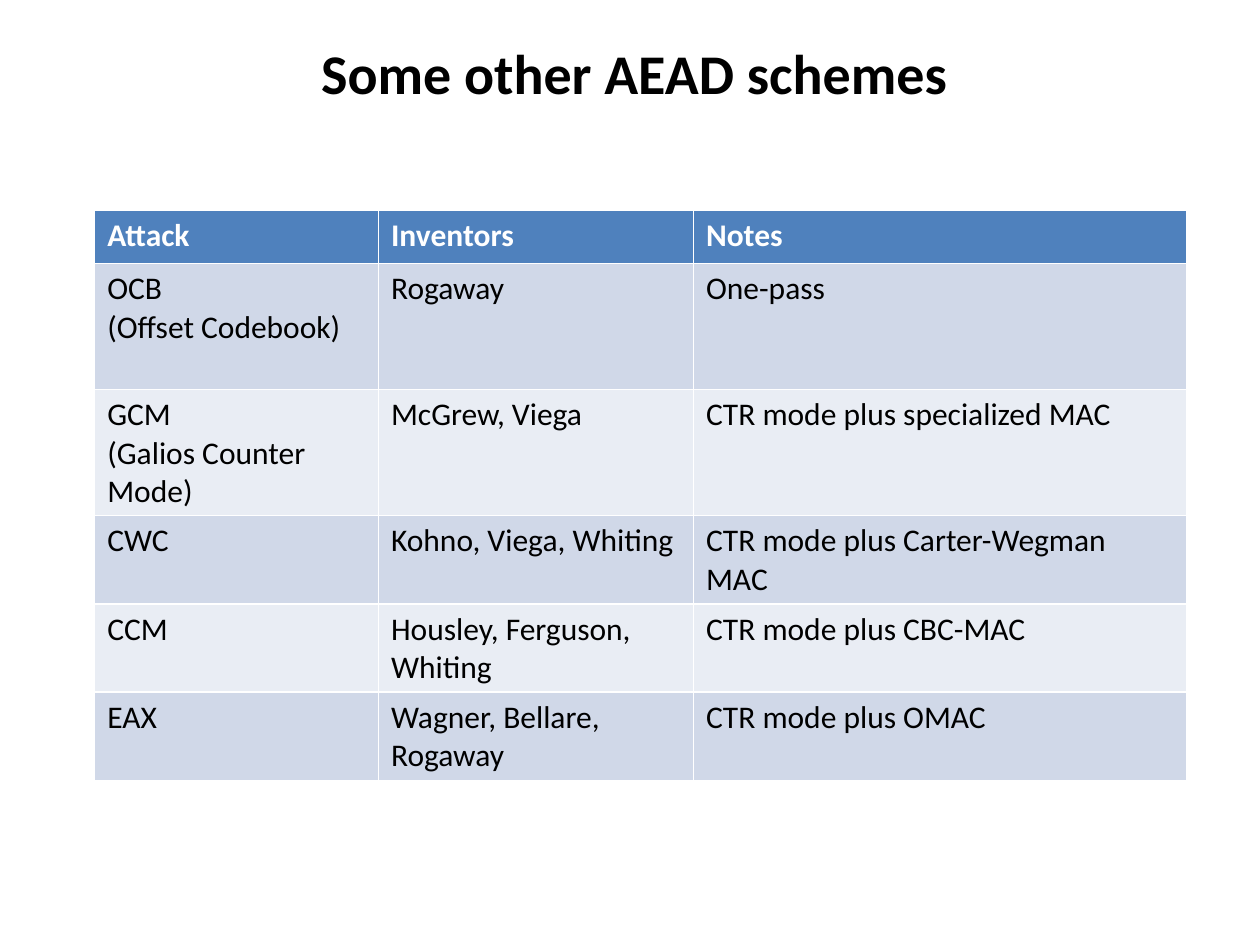
import dataclasses

import pptx
import pptx.dml.color
import pptx.enum.text
import pptx.util

Cm = pptx.util.Cm


@dataclasses.dataclass(frozen=True)
class Theme:
    font: str = "Calibri"
    head: int = 32
    body: int = 18
    ink: str = "000000"
    white: str = "FFFFFF"
    blue: str = "4F81BD"
    bands: tuple = ("D0D8E8", "E9EDF4")


THEME = Theme()
WIDTHS = (5.72, 6.35, 9.95)
HEIGHTS = (1.07, 2.54, 2.54, 1.78, 1.78, 1.78)
ROWS = (
    ("Attack", "Inventors", "Notes"),
    ("OCB\n(Offset Codebook)", "Rogaway", "One-pass"),
    ("GCM\n(Galios Counter Mode)", "McGrew, Viega", "CTR mode plus specialized MAC"),
    ("CWC", "Kohno, Viega, Whiting", "CTR mode plus Carter-Wegman MAC"),
    ("CCM", "Housley, Ferguson, Whiting", "CTR mode plus CBC-MAC"),
    ("EAX", "Wagner, Bellare, Rogaway", "CTR mode plus OMAC"),
)


def color(code):
    return pptx.dml.color.RGBColor.from_string(code)


def write(frame, text, size=THEME.body, ink=THEME.ink, bold=False, align=None):
    frame.text = text
    for para in frame.paragraphs:
        para.alignment = align
        for run in para.runs:
            run.font.name = THEME.font
            run.font.size = pptx.util.Pt(size)
            run.font.bold = bold
            run.font.color.rgb = color(ink)


def add_title(slide, text, left, top, width, height):
    title = slide.shapes.title
    title.left, title.top = Cm(left), Cm(top)
    title.width, title.height = Cm(width), Cm(height)
    frame = title.text_frame
    write(frame, text, size=THEME.head, bold=True,
          align=pptx.enum.text.PP_ALIGN.CENTER)
    frame.word_wrap = False
    frame.auto_size = pptx.enum.text.MSO_AUTO_SIZE.SHAPE_TO_FIT_TEXT
    frame.vertical_anchor = pptx.enum.text.MSO_ANCHOR.TOP


def add_grid(slide, rows, left, top, width, height):
    grid = slide.shapes.add_table(
        len(rows), len(rows[0]), Cm(left), Cm(top), Cm(width), Cm(height)
    ).table
    for col, size in zip(grid.columns, WIDTHS):
        col.width = Cm(size)
    for row, size in zip(grid.rows, HEIGHTS):
        row.height = Cm(size)
    for i, row in enumerate(rows):
        first = i == 0
        fill = THEME.blue if first else THEME.bands[(i - 1) % 2]
        ink = THEME.white if first else THEME.ink
        for j, text in enumerate(row):
            cell = grid.cell(i, j)
            cell.fill.solid()
            cell.fill.fore_color.rgb = color(fill)
            write(cell.text_frame, text, ink=ink, bold=first)


def main():
    deck = pptx.Presentation()
    deck.slide_width, deck.slide_height = Cm(25.4), Cm(19.05)
    slide = deck.slides.add_slide(deck.slide_layouts[5])
    add_title(slide, "Some other AEAD schemes", 6.16, 0.64, 13.26, 1.62)
    add_grid(slide, ROWS, 1.91, 4.24, sum(WIDTHS), sum(HEIGHTS))
    deck.save("out.pptx")


if __name__ == "__main__":
    main()
